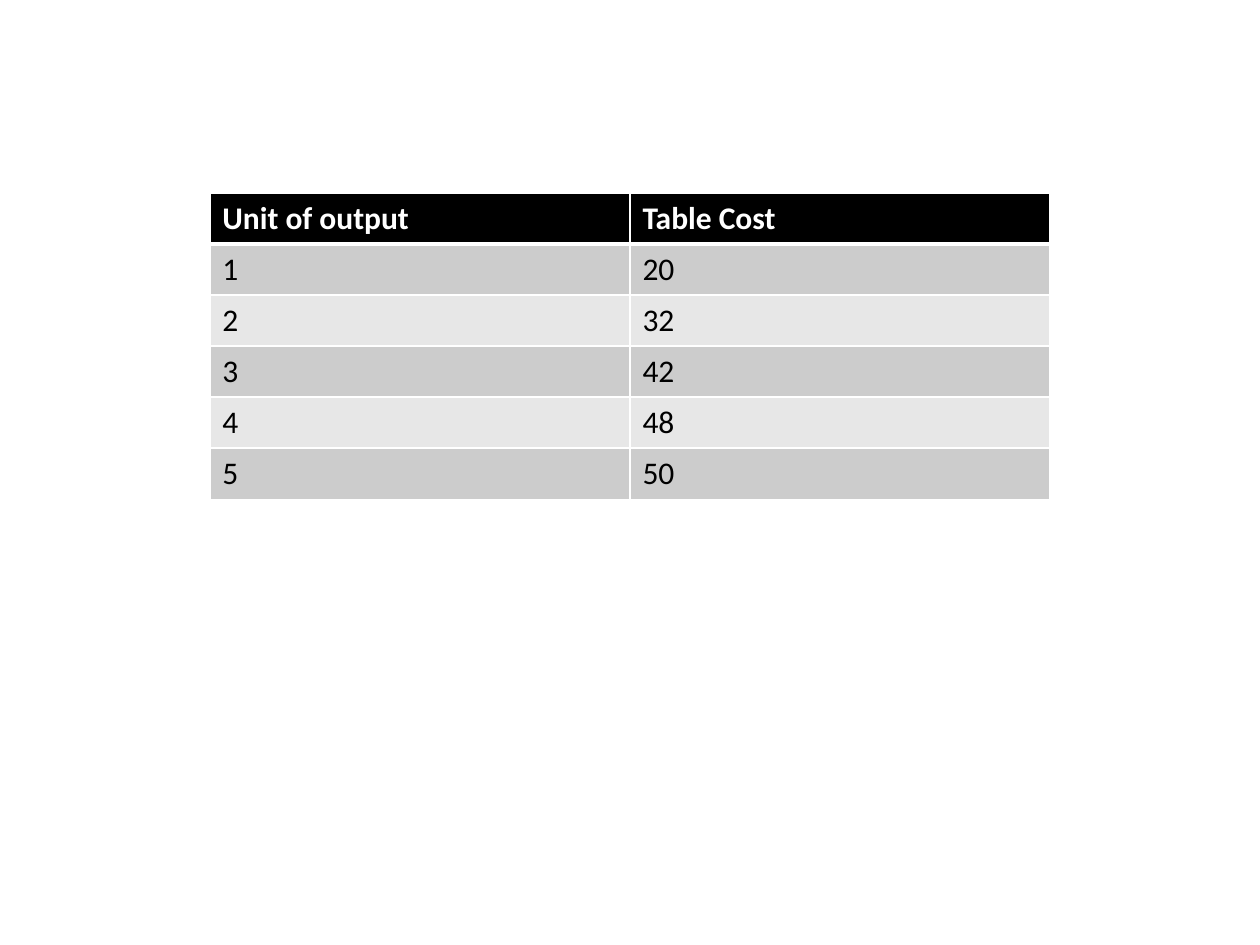
from dataclasses import dataclass

import pptx
import pptx.dml.color
import pptx.oxml
import pptx.oxml.ns
import pptx.table
import pptx.util

Inches = pptx.util.Inches
Pt = pptx.util.Pt

COLORS = {
    "header": "000000",
    "odd": "CCCCCC",
    "even": "E7E7E7",
    "border": "FFFFFF",
    "header_text": "FFFFFF",
    "body_text": "000000",
}


@dataclass
class CostRow:
    unit: str
    cost: str


HEADER = CostRow("Unit of output", "Table Cost")
COSTS = [
    CostRow("1", "20"),
    CostRow("2", "32"),
    CostRow("3", "42"),
    CostRow("4", "48"),
    CostRow("5", "50"),
]


def rgb(name: str) -> pptx.dml.color.RGBColor:
    return pptx.dml.color.RGBColor.from_string(COLORS[name])


def write(tf, text: str, *, color: str, bold: bool = False,
          size: float = 18, font: str = "Calibri") -> None:
    r = tf.paragraphs[0].add_run()
    r.text = text
    r.font.name = font
    r.font.size = Pt(size)
    r.font.bold = bold
    r.font.color.rgb = rgb(color)


def set_borders(cell: pptx.table._Cell, top: float, bottom: float) -> None:
    tc_pr = cell._tc.get_or_add_tcPr()
    for side, width in (("L", 1), ("R", 1), ("T", top), ("B", bottom)):
        tc_pr.append(pptx.oxml.parse_xml(
            f'<a:ln{side} {pptx.oxml.ns.nsdecls("a")} w="{Pt(width)}">'
            f'<a:solidFill><a:srgbClr val="{COLORS["border"]}"/></a:solidFill>'
            f'</a:ln{side}>'))


def draw_row(table: pptx.table.Table, i: int, row: CostRow) -> None:
    is_header = i == 0
    fill = "header" if is_header else "odd" if i % 2 else "even"
    for j, text in enumerate((row.unit, row.cost)):
        cell = table.cell(i, j)
        # Borders come before the fill in the cell properties
        set_borders(cell, top=3 if i == 1 else 1, bottom=3 if is_header else 1)
        cell.fill.solid()
        cell.fill.fore_color.rgb = rgb(fill)
        write(cell.text_frame, text, bold=is_header,
              color="header_text" if is_header else "body_text")


def main() -> None:
    prs = pptx.Presentation()
    prs.slide_width, prs.slide_height = Inches(10), Inches(7.5)
    s = prs.slides.add_slide(prs.slide_layouts[6])

    # Cost table, centred across the slide
    rows = [HEADER, *COSTS]
    width = Inches(6.67)
    left = (prs.slide_width - width) // 2
    table = s.shapes.add_table(
        len(rows), 2, left, Inches(1.53), width, Inches(2.43)).table
    for i, row in enumerate(rows):
        draw_row(table, i, row)

    prs.save("out.pptx")


if __name__ == "__main__":
    main()
